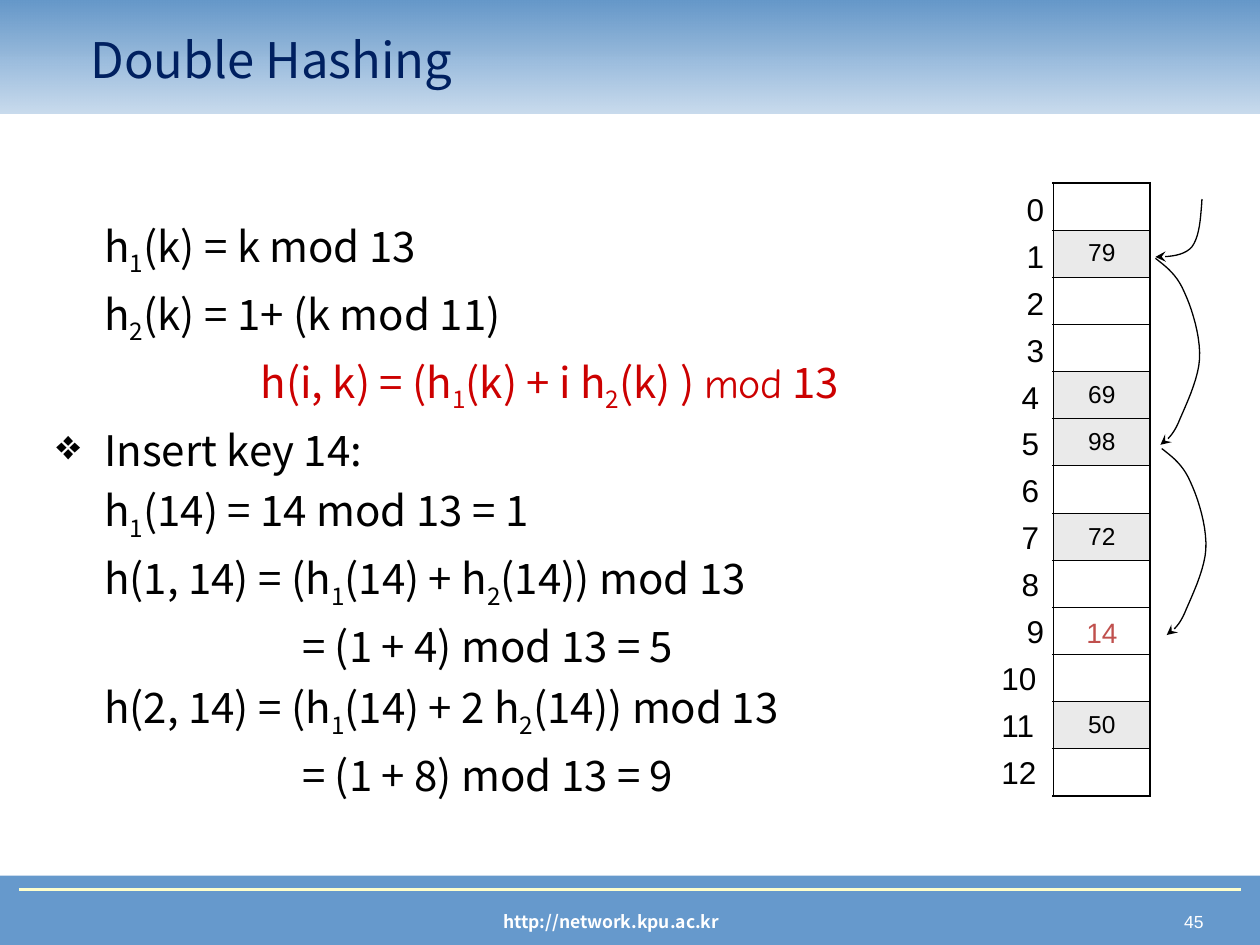
from dataclasses import dataclass

from lxml.etree import SubElement
from pptx import Presentation
from pptx.dml.color import RGBColor as Rgb
from pptx.enum.shapes import MSO_CONNECTOR as Line, MSO_SHAPE as Preset
from pptx.enum.text import MSO_ANCHOR as Anchor, PP_ALIGN as Align
from pptx.oxml import parse_xml
from pptx.oxml.ns import nsdecls, qn
from pptx.util import Inches, Pt

# Grid of 100 columns by 75 rows
COLUMNS, ROWS = 100, 75
WIDTH, HEIGHT = Inches(10), Inches(7.5)


@dataclass(frozen=True)
class Theme:
    sans: str = "Noto Sans CJK KR"
    comic: str = "Comic Neue"
    number: str = "Arial"
    band: str = "6699CC"
    band_top: str = "6497C9"
    rule: str = "FFFFCC"
    white: str = "FFFFFF"
    navy: str = "002060"
    ink: str = "000000"
    formula: str = "CC0000"
    inserted: str = "C0504D"
    used: str = "EAEAEA"
    title_size: int = 28
    body_size: int = 24
    index_size: int = 18
    inserted_size: int = 16
    key_size: int = 14
    footer_size: int = 10


THEME = Theme()


def x(columns):
    return round(WIDTH * columns / COLUMNS)


def y(rows):
    return round(HEIGHT * rows / ROWS)


def place(box):
    left, top, width, height = box
    return x(left), y(top), x(width), y(height)


def add_run(paragraph, text, color, subscript=False, **font_format):
    run = paragraph.add_run()
    run.text = text
    for name, value in font_format.items():
        setattr(run.font, name, value)
    run.font.color.rgb = Rgb.from_string(color)
    if subscript:
        run._r.get_or_add_rPr().set("baseline", "-25000")


def add_math(paragraph, text, color, **font_format):
    """Write text in which an underscore lowers the next digit."""
    plain, *lowered = text.split("_")
    add_run(paragraph, plain, color, **font_format)
    for part in lowered:
        add_run(paragraph, part[0], color, subscript=True, **font_format)
        add_run(paragraph, part[1:], color, **font_format)


def add_frame(slide, box, anchor=Anchor.TOP):
    frame = slide.shapes.add_textbox(*place(box)).text_frame
    frame.word_wrap = True
    frame.vertical_anchor = anchor
    return frame


def add_label(slide, box, text, color, align=Align.LEFT, anchor=Anchor.TOP, **font_format):
    paragraph = add_frame(slide, box, anchor).paragraphs[0]
    paragraph.alignment = align
    add_run(paragraph, text, color, **font_format)


def add_band(slide, box):
    band = slide.shapes.add_shape(Preset.RECTANGLE, *place(box))
    band.shadow.inherit = False
    band.line.fill.background()
    return band


def add_header(slide, box):
    band = add_band(slide, box)
    band.fill.gradient()
    band.fill.gradient_angle = 90
    for stop, color in zip(band.fill.gradient_stops, (THEME.band, THEME.band_top)):
        stop.color.rgb = Rgb.from_string(color)
    # The lower end fades into the page
    faded = band._element.xpath(".//a:gs/a:srgbClr")[0]
    SubElement(faded, qn("a:alpha"), val="35000")
    add_label(slide, (6.2, 1.6, 84.4, 6.2), "Double Hashing", THEME.navy,
              anchor=Anchor.MIDDLE, name=THEME.sans, size=Pt(THEME.title_size))


def add_footer(slide, box):
    left, top, width, height = box
    band = add_band(slide, box)
    band.fill.solid()
    band.fill.fore_color.rgb = Rgb.from_string(THEME.band)
    # Thin rule inside the band
    rule_y, margin = y(top + 1.1), 1.5
    rule = slide.shapes.add_connector(
        Line.STRAIGHT, x(left + margin), rule_y, x(left + width - margin), rule_y)
    rule.line.color.rgb = Rgb.from_string(THEME.rule)
    rule.line.width = Pt(1.5)
    SubElement(rule._element.spPr, qn("a:effectLst"))
    # Address and page number
    size = Pt(THEME.footer_size)
    add_label(slide, (22.7, top + 2.3, 51.6, 2.7), "http://network.kpu.ac.kr", THEME.white,
              Align.CENTER, name=THEME.sans, size=size, bold=True)
    add_label(slide, (74.2, top + 2.3, 22.3, 2.7), "45", THEME.white,
              Align.RIGHT, name=THEME.number, size=size)


def add_derivation(slide, box):
    frame = add_frame(slide, box)
    hanging, result = 3.8, 19.5
    # Left indent in columns, and text; None marks the centred formula
    steps = [
        (hanging, "h_1(k) = k mod 13"),
        (hanging, "h_2(k) = 1+ (k mod 11)"),
        (None, "h(i, k) = (h_1(k) + i h_2(k) ) "),
        (hanging, "Insert key 14:"),
        (hanging, "h_1(14) = 14 mod 13 = 1"),
        (hanging, "h(1, 14) = (h_1(14) + h_2(14)) mod 13"),
        (result, "= (1 + 4) mod 13 = 5"),
        (hanging, "h(2, 14) = (h_1(14) + 2 h_2(14)) mod 13"),
        (result, "= (1 + 8) mod 13 = 9"),
    ]
    sans = dict(name=THEME.sans, size=Pt(THEME.body_size))
    for number, (indent, text) in enumerate(steps):
        paragraph = frame.add_paragraph() if number else frame.paragraphs[0]
        paragraph.space_before = Pt(6 if number else 0)
        settings = paragraph._p.get_or_add_pPr()
        settings.set("marL", str(x(indent or 0)))
        settings.set("indent", "0")
        if text.startswith("Insert"):
            settings.set("indent", str(-x(hanging)))
            bullet_color = SubElement(settings, qn("a:buClr"))
            SubElement(bullet_color, qn("a:srgbClr"), val=THEME.ink)
            SubElement(settings, qn("a:buChar"), char="❖")
        if indent is None:
            paragraph.alignment = Align.CENTER
            add_math(paragraph, text, THEME.formula, **sans)
            add_run(paragraph, "mod", THEME.formula, **{**sans, "name": THEME.comic})
            add_run(paragraph, " 13", THEME.formula, **sans)
        else:
            add_math(paragraph, text, THEME.ink, **sans)


def add_borders(cell, widths):
    for position, (side, points) in enumerate(widths.items()):
        cell._tc.get_or_add_tcPr().insert(position, parse_xml(
            f'<a:ln{side} {nsdecls("a")} w="{Pt(points)}"><a:solidFill>'
            f'<a:srgbClr val="{THEME.ink}"/></a:solidFill></a:ln{side}>'))


def add_hash_table(slide, box):
    slots, outer, inner = 13, 1.08, 0.45
    keys = {1: "79", 4: "69", 5: "98", 7: "72", 11: "50"}
    left, top, width, height = box
    table = slide.shapes.add_table(slots, 1, *place(box)).table
    table.first_row = table.horz_banding = False
    for slot in range(slots):
        table.rows[slot].height = y(height / slots)
        cell = table.cell(slot, 0)
        cell.margin_top = cell.margin_bottom = 0
        cell.vertical_anchor = Anchor.MIDDLE
        add_borders(cell, {"L": outer, "R": outer,
                           "T": inner if slot else outer,
                           "B": inner if slot < slots - 1 else outer})
        if slot in keys:
            cell.fill.solid()
            cell.fill.fore_color.rgb = Rgb.from_string(THEME.used)
            paragraph = cell.text_frame.paragraphs[0]
            paragraph.alignment = Align.CENTER
            add_run(paragraph, keys[slot], THEME.ink,
                    name=THEME.number, size=Pt(THEME.key_size))
        else:
            cell.fill.background()
        # Slot index beside the row
        offset = 5.1 if slot > 9 else 3.5 if 4 <= slot <= 8 else 3.1
        add_label(slide, (left - offset, top + 0.1 + 3.72 * slot, offset + 0.3, 4),
                  str(slot), THEME.ink, name=THEME.number, size=Pt(THEME.index_size))
    # Newly inserted key
    add_label(slide, (left + 1.35, top + 33.9, 5, 3.7), "14", THEME.inserted, Align.CENTER,
              name=THEME.number, size=Pt(THEME.inserted_size))


def bezier(points, steps=10):
    for step in range(1, steps + 1):
        t = step / steps
        weights = ((1 - t) ** 3, 3 * t * (1 - t) ** 2, 3 * t * t * (1 - t), t ** 3)
        yield tuple(sum(w * p[axis] for w, p in zip(weights, points)) for axis in (0, 1))


def add_probe(slide, start, curve):
    """Draw an arrow along cubic curves given as offsets from start."""
    nodes = [(0, 0), *curve]
    track = [point for first in range(0, len(nodes) - 1, 3)
             for point in bezier(nodes[first:first + 4])]
    left, top = start
    outline = slide.shapes.build_freeform(x(left), y(top))
    outline.add_line_segments([(x(left + dx), y(top + dy)) for dx, dy in track], close=False)
    arrow = outline.convert_to_shape()
    arrow.shadow.inherit = False
    arrow.fill.background()
    arrow.line.color.rgb = Rgb.from_string(THEME.ink)
    arrow.line.width = Pt(0.75)
    SubElement(arrow.line._get_or_add_ln(), qn("a:tailEnd"), type="stealth")


def add_probes(slide, box):
    left, top = box[:2]
    entry = [(-0.1, 1.5), (-0.2, 3), (-0.8, 3.8), (-1.4, 4.5), (-2.6, 4.6), (-3.7, 4.6)]
    hop = [(0.9, 0.7), (1.7, 1.3), (2.3, 2.7), (2.9, 4), (3.6, 6.2), (3.5, 8),
           (3.4, 9.7), (2.3, 11.9), (1.8, 13.1), (1.3, 14.2), (0.8, 14.5), (0.4, 14.8)]
    add_probe(slide, (left + 3.7, top), entry)
    for jump in range(2):
        add_probe(slide, (left + 0.5 * jump, top + 4.7 + 15.1 * jump), hop)


def main():
    deck = Presentation()
    deck.slide_width, deck.slide_height = WIDTH, HEIGHT
    slide = deck.slides.add_slide(deck.slide_layouts[6])
    add_footer(slide, (0, 69.5, 100, 5.5))
    add_header(slide, (0, 0, 100, 9))
    add_derivation(slide, (3.5, 17, 80.3, 52.8))
    add_hash_table(slide, (83.6, 14.5, 7.7, 48.7))
    add_probes(slide, (91.7, 15.8, 4.1, 34.6))
    deck.save("out.pptx")


if __name__ == "__main__":
    main()
